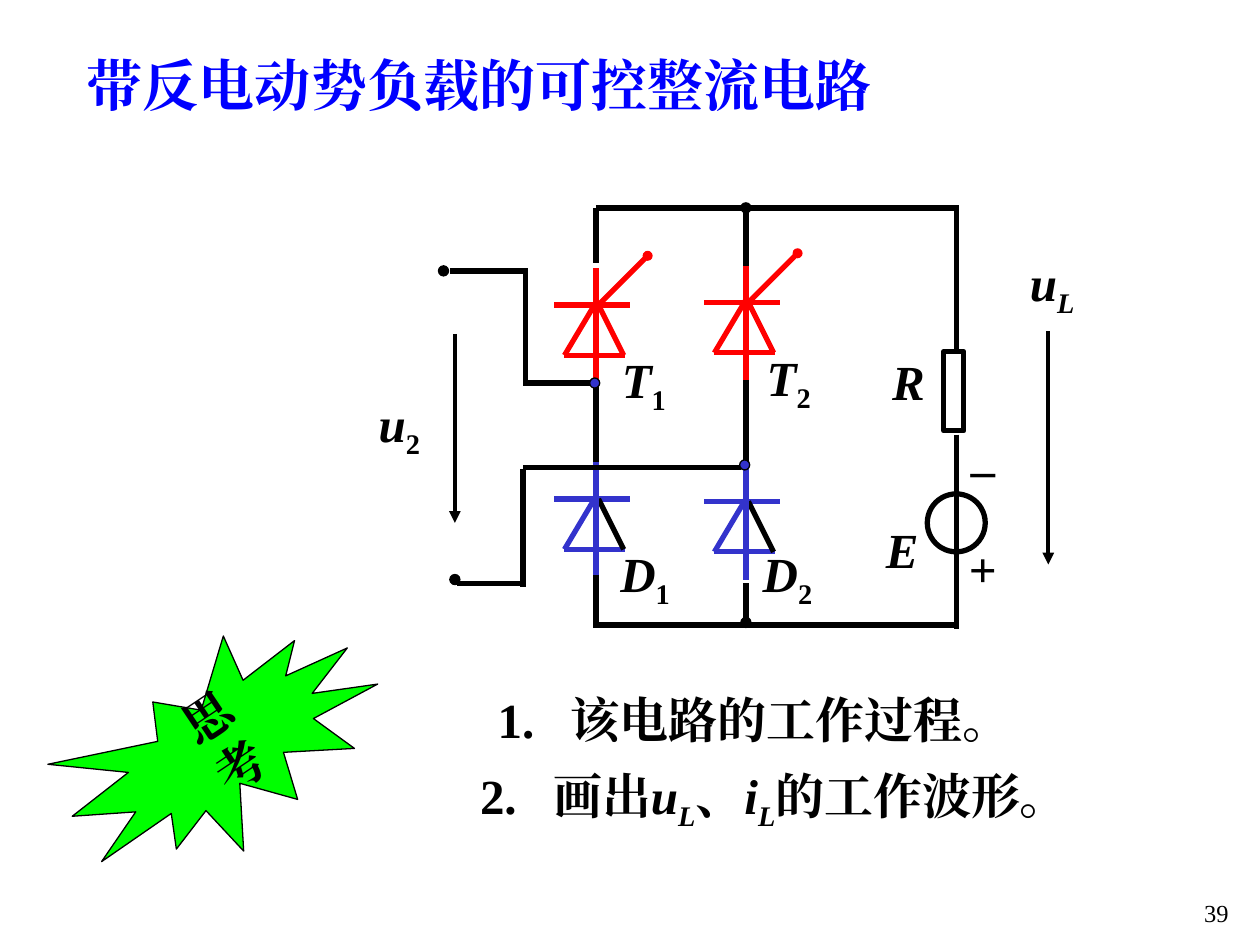
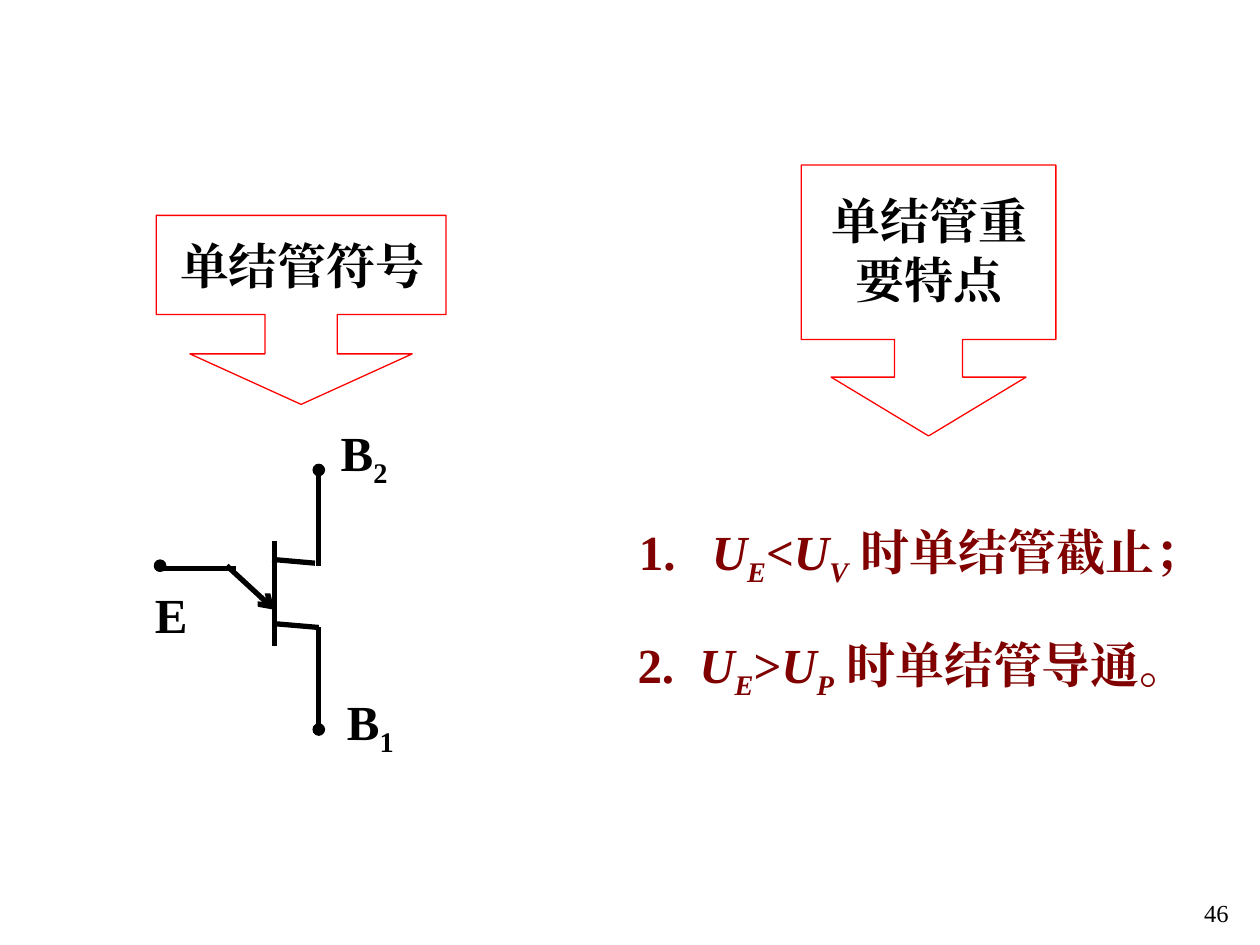
from typing import NamedTuple

from lxml.etree import SubElement
from pptx import Presentation
from pptx.dml.color import RGBColor
from pptx.enum.shapes import MSO_CONNECTOR, MSO_SHAPE as Form
from pptx.enum.text import MSO_ANCHOR as Anchor, MSO_AUTO_SIZE as Fit, PP_ALIGN as Align
from pptx.oxml.ns import qn
from pptx.util import Emu, Inches, Pt

# Shared look
BLACK = RGBColor(0x00, 0x00, 0x00)
WHITE = RGBColor(0xFF, 0xFF, 0xFF)
RED = RGBColor(0xFF, 0x00, 0x00)
GREEN = RGBColor(0x00, 0xFF, 0x00)
BLUE = RGBColor(0x00, 0x00, 0xFF)
INDIGO = RGBColor(0x33, 0x33, 0xCC)
MAROON = RGBColor(0x80, 0x00, 0x00)
FACE = "Times New Roman"

# Grid: 100 columns by 75 rows
WIDE, HIGH = Inches(10), Inches(7.5)


def col(n: float) -> Emu:
    return Emu(round(n * WIDE / 100))


def row(n: float) -> Emu:
    return Emu(round(n * HIGH / 75))


class Box(NamedTuple):
    x: float
    y: float
    w: float
    h: float

    def place(self) -> tuple[Emu, Emu, Emu, Emu]:
        return col(self.x), row(self.y), col(self.w), row(self.h)


class Bit(NamedTuple):
    text: str
    slant: bool = False
    sub: bool = False


class Wire(NamedTuple):
    x1: float
    y1: float
    x2: float
    y2: float
    hue: RGBColor = BLACK
    size: float = 3
    tip: str = ""


class Dot(NamedTuple):
    x: float
    y: float
    fill: RGBColor = BLACK
    edge: RGBColor | None = BLACK
    size: float = 0.8


class Label(NamedTuple):
    x: float
    y: float
    bits: list[Bit]


class Item(NamedTuple):
    start: float
    hang: float
    bits: list[Bit]


def sign(name: str, sub: str = "", slant: bool = True) -> list[Bit]:
    """A letter with an optional lowered index; only letters slant."""
    bits = [Bit(name, slant)]
    if sub:
        bits.append(Bit(sub, slant and sub.isalpha(), True))
    return bits


# Text
def write(para, bits: list[Bit], size: float = 28, hue: RGBColor = BLACK, bold: bool = True) -> None:
    for bit in bits:
        run = para.add_run()
        run.text = bit.text
        font = run.font
        font.size, font.bold, font.italic, font.name = Pt(size), bold, bit.slant, FACE
        font.color.rgb = hue
        props = run._r.get_or_add_rPr()
        SubElement(props, qn("a:ea")).set("typeface", FACE)
        if bit.sub:
            props.set("baseline", "-25000")


def add_text(slide, box: Box, lines: list[list[Bit]], turn: float = 0):
    shape = slide.shapes.add_textbox(*box.place())
    shape.rotation = turn
    frame = shape.text_frame
    frame.word_wrap = False
    frame.vertical_anchor = Anchor.MIDDLE
    for n, bits in enumerate(lines):
        para = frame.add_paragraph() if n else frame.paragraphs[0]
        para.alignment = Align.CENTER
        write(para, bits)


def add_labels(slide, labels: list[Label]) -> None:
    for mark in labels:
        add_text(slide, Box(mark.x - 3, mark.y - 3.1, 6, 6.2), [mark.bits])


def set_title(slide, text: str) -> None:
    title = slide.shapes.title
    title.left, title.top, title.width, title.height = Box(5.9, 3.5, 70, 6.4).place()
    frame = title.text_frame
    frame.auto_size = Fit.NONE
    frame.vertical_anchor = Anchor.MIDDLE
    frame.paragraphs[0].alignment = Align.LEFT
    write(frame.paragraphs[0], [Bit(text)], 32, BLUE)


def set_list(slide, box: Box, items: list[Item], gap: float, hue: RGBColor) -> None:
    body = slide.placeholders[1]
    body.left, body.top, body.width, body.height = box.place()
    frame = body.text_frame
    frame.auto_size = Fit.NONE
    frame.vertical_anchor = Anchor.TOP
    frame.margin_left = frame.margin_right = frame.margin_top = frame.margin_bottom = 0
    for n, item in enumerate(items):
        para = frame.add_paragraph() if n else frame.paragraphs[0]
        props = para._p.get_or_add_pPr()
        props.set("marL", str(col(item.start + item.hang)))
        props.set("indent", str(-col(item.hang)))
        SubElement(props, qn("a:buNone"))
        para.alignment = Align.LEFT
        para.space_before = Pt(gap if n else 0)
        write(para, [Bit(f"{n + 1}.\t"), *item.bits], hue=hue)


def add_page(slide, number: int) -> None:
    frame = slide.shapes.add_textbox(*Box(77.7, 70.8, 20.8, 5).place()).text_frame
    frame.word_wrap = True
    frame.paragraphs[0].alignment = Align.RIGHT
    write(frame.paragraphs[0], [Bit(str(number))], 14, bold=False)


# Drawing
def add_form(slide, form: Form, box: Box, fill: RGBColor, edge: RGBColor | None = BLACK, size: float = 0.75):
    shape = slide.shapes.add_shape(form, *box.place())
    shape.shadow.inherit = False
    shape.fill.solid()
    shape.fill.fore_color.rgb = fill
    if edge is None:
        shape.line.fill.background()
    else:
        shape.line.color.rgb = edge
        shape.line.width = Pt(size)
    return shape


def add_wires(slide, wires: list[Wire]) -> None:
    for wire in wires:
        line = slide.shapes.add_connector(
            MSO_CONNECTOR.STRAIGHT, col(wire.x1), row(wire.y1), col(wire.x2), row(wire.y2))
        line.line.color.rgb = wire.hue
        line.line.width = Pt(wire.size)
        props = line.element.spPr
        if wire.tip:
            SubElement(props.find(qn("a:ln")), qn("a:tailEnd")).set("type", wire.tip)
        SubElement(props, qn("a:effectLst"))


def add_dots(slide, dots: list[Dot]) -> None:
    for dot in dots:
        half = dot.size / 2
        add_form(slide, Form.OVAL, Box(dot.x - half, dot.y - half, dot.size, dot.size), dot.fill, dot.edge)


def add_valve(slide, x: float, y: float, hue: RGBColor, side: RGBColor, gate: bool) -> None:
    """Diode symbol with its bar at row y; a gate makes it a thyristor."""
    foot = y + 4
    add_wires(slide, [
        Wire(x - 3.3, y, x + 2.7, y, hue),
        Wire(x, y - 0.2, x - 2.5, foot, hue),
        Wire(x - 2.5, foot, x + 2.3, foot, hue),
        Wire(x + 0.2, y, x + 2.2, foot, side),
        Wire(x, y - 2.9, x, y + 6.2, hue),
    ])
    if gate:
        add_wires(slide, [Wire(x + 0.3, y - 0.1, x + 3.9, y - 3.7, hue)])
        add_dots(slide, [Dot(x + 4.1, y - 3.9, hue, None)])


def add_callout(slide, box: Box, bends: list[float], words: Box, lines: list[str]) -> None:
    arrow = add_form(slide, Form.DOWN_ARROW_CALLOUT, box, WHITE, RED)
    for n, bend in enumerate(bends):
        arrow.adjustments[n] = bend
    add_text(slide, words, [[Bit(line)] for line in lines])


# Slide: rectifier with a back-EMF load
def draw_bridge(slide) -> None:
    set_title(slide, "带反电动势负载的可控整流电路")

    star = add_form(slide, Form.EXPLOSION1, Box(4.7, 51.7, 26.2, 15.5), GREEN)
    star.rotation = 329.3
    add_text(slide, Box(12.9, 56, 9.7, 5.7), [[Bit("思考")]], 326.2)

    # Bridge legs, load column, top and bottom rails
    left, right, load = 47.3, 59.2, 75.9
    top, base = 16.5, 49.6
    add_valve(slide, left, 24.2, RED, RED, True)
    add_valve(slide, right, 24, RED, RED, True)
    add_valve(slide, left, 39.6, INDIGO, BLACK, False)
    add_valve(slide, right, 39.8, INDIGO, BLACK, False)
    add_form(slide, Form.OVAL, Box(load - 2.3, 39.2, 4.6, 4.6), WHITE, size=3)
    add_form(slide, Form.RECTANGLE, Box(74.9, 27.9, 1.6, 6.3), WHITE, size=3)
    add_wires(slide, [
        Wire(left, top, load + 0.2, top),
        Wire(left - 0.2, base, load, base),
        Wire(left, top, left, 20.9),
        Wire(left, 30.4, left, 36.7),
        Wire(left, 45.6, left, base),
        Wire(right, top, right, 21.1),
        Wire(right, 30.2, right, 37.1),
        Wire(right, 46.3, right, base),
        Wire(load, top, load, 27.7),
        Wire(load, 34.5, load, 49.9),
        # Supply leads
        Wire(35.7, 21.5, 41.9, 21.5),
        Wire(41.7, 21.5, 41.7, 30.6),
        Wire(41.9, 30.4, 46.9, 30.4),
        Wire(58.8, 37.1, 41.5, 37.1),
        Wire(41.5, 37.2, 41.5, 46.6),
        Wire(36.3, 46.3, 41.5, 46.3),
        # Voltage arrows
        Wire(36.1, 26.5, 36.1, 41.5, size=2.25, tip="triangle"),
        Wire(83.2, 26.3, 83.2, 44.8, size=2.25, tip="triangle"),
    ])
    add_dots(slide, [
        Dot(right, top), Dot(right, 49.4), Dot(35.2, 21.5), Dot(36.1, 46),
        Dot(47.2, 30.4, INDIGO), Dot(59.1, 36.9, INDIGO),
    ])
    add_labels(slide, [
        Label(51.1, 30.4, sign("T", "1")),
        Label(62.6, 30.2, sign("T", "2")),
        Label(51.2, 45.8, sign("D", "1")),
        Label(62.5, 45.8, sign("D", "2")),
        Label(72.1, 30.2, sign("R")),
        Label(71.6, 43.6, sign("E")),
        Label(83.5, 22.7, sign("u", "L")),
        Label(31.7, 33.9, sign("u", "2")),
        Label(78, 45.1, sign("+", slant=False)),
        Label(78, 37.1, sign("–", slant=False)),
    ])

    set_list(slide, Box(38.1, 54.7, 56, 14), [
        Item(1.4, 5.8, [Bit("该电路的工作过程。")]),
        Item(0, 5.8, [Bit("画出"), *sign("u", "L"), Bit("、"), *sign("i", "L"), Bit("的工作波形。")]),
    ], 10, BLACK)
    add_page(slide, 39)


# Slide: unijunction transistor
def draw_symbol(slide) -> None:
    title = slide.shapes.title.element
    title.getparent().remove(title)

    add_callout(slide, Box(12.4, 17.1, 23, 15), [0.383, 0.588, 0.267, 0.524],
                Box(13.3, 18.2, 21.4, 5.7), ["单结管符号"])
    add_callout(slide, Box(63.6, 13.1, 20.2, 21.5), [0.267, 0.383, 0.231, 0.644],
                Box(65, 14.6, 17.5, 10.4), ["单结管重", "要特点"])

    bar, lead = 21.8, 25.3
    add_wires(slide, [
        Wire(bar, 42.9, bar, 51.3),
        Wire(12.7, 45.1, 18.7, 45.1),
        Wire(18, 44.9, bar, 48.4, tip="arrow"),
        Wire(bar - 0.2, 44.4, lead - 0.3, 44.7),
        Wire(bar, 49.5, lead, 49.8),
        Wire(lead, 37.1, lead, 44.9),
        Wire(lead, 49.8, lead, 57.5),
    ])
    add_dots(slide, [Dot(x, y, size=0.9) for x, y in ((12.7, 44.9), (lead, 37.3), (lead, 57.9))])
    add_labels(slide, [
        Label(13.6, 48.7, sign("E", slant=False)),
        Label(28.9, 36.2, sign("B", "2", False)),
        Label(29.4, 57.5, sign("B", "1", False)),
    ])

    set_list(slide, Box(50.6, 41.4, 48, 17), [
        Item(0.1, 5.8, [*sign("U", "E"), Bit("<"), *sign("U", "V"), Bit(" 时单结管截止；")]),
        Item(0, 4.9, [*sign("U", "E"), Bit(">"), *sign("U", "P"), Bit(" 时单结管导通。")]),
    ], 26, MAROON)
    add_page(slide, 46)


def main() -> None:
    deck = Presentation()
    deck.slide_width, deck.slide_height = WIDE, HIGH
    for draw in (draw_bridge, draw_symbol):
        draw(deck.slides.add_slide(deck.slide_layouts[1]))
    deck.save("out.pptx")


if __name__ == "__main__":
    main()
